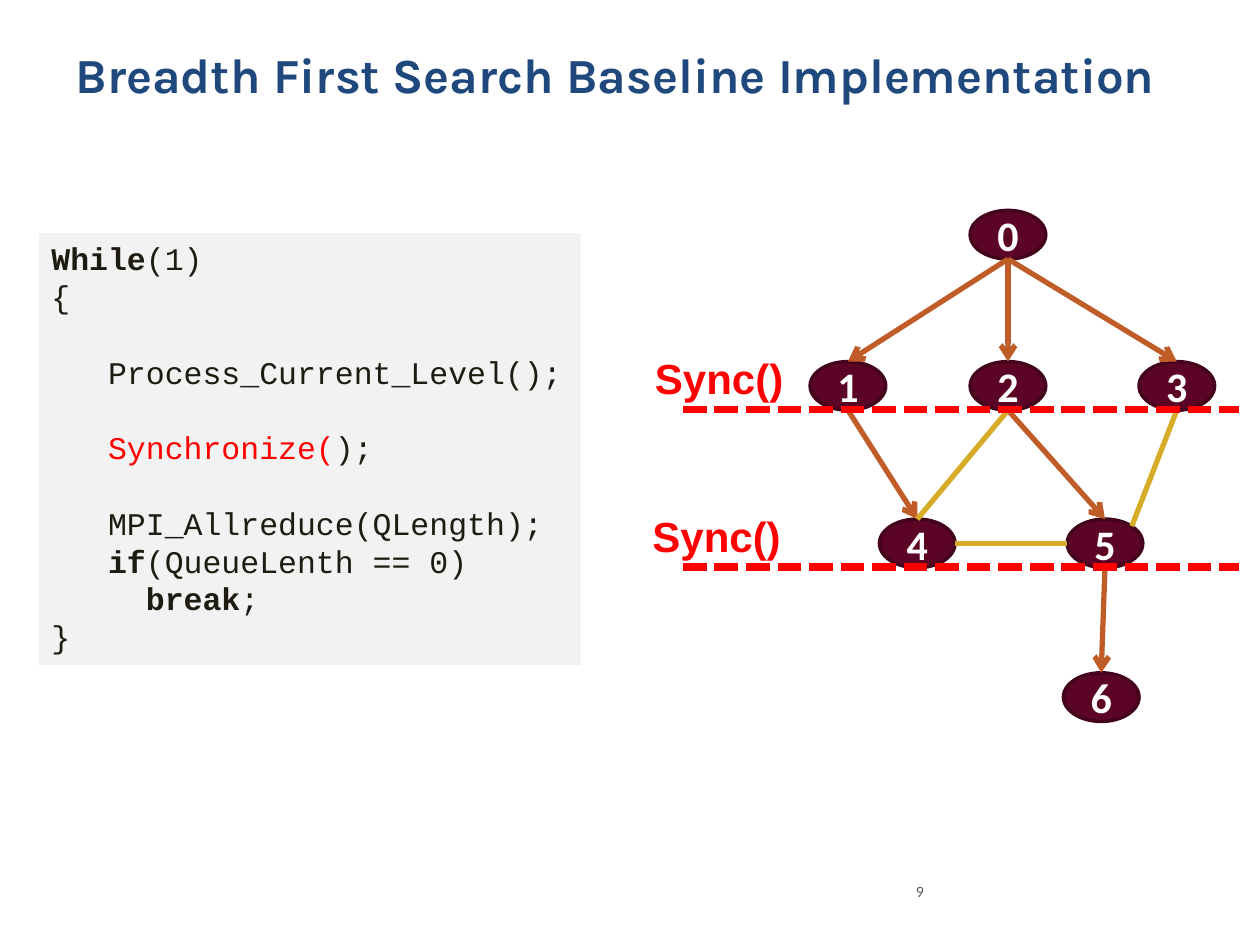
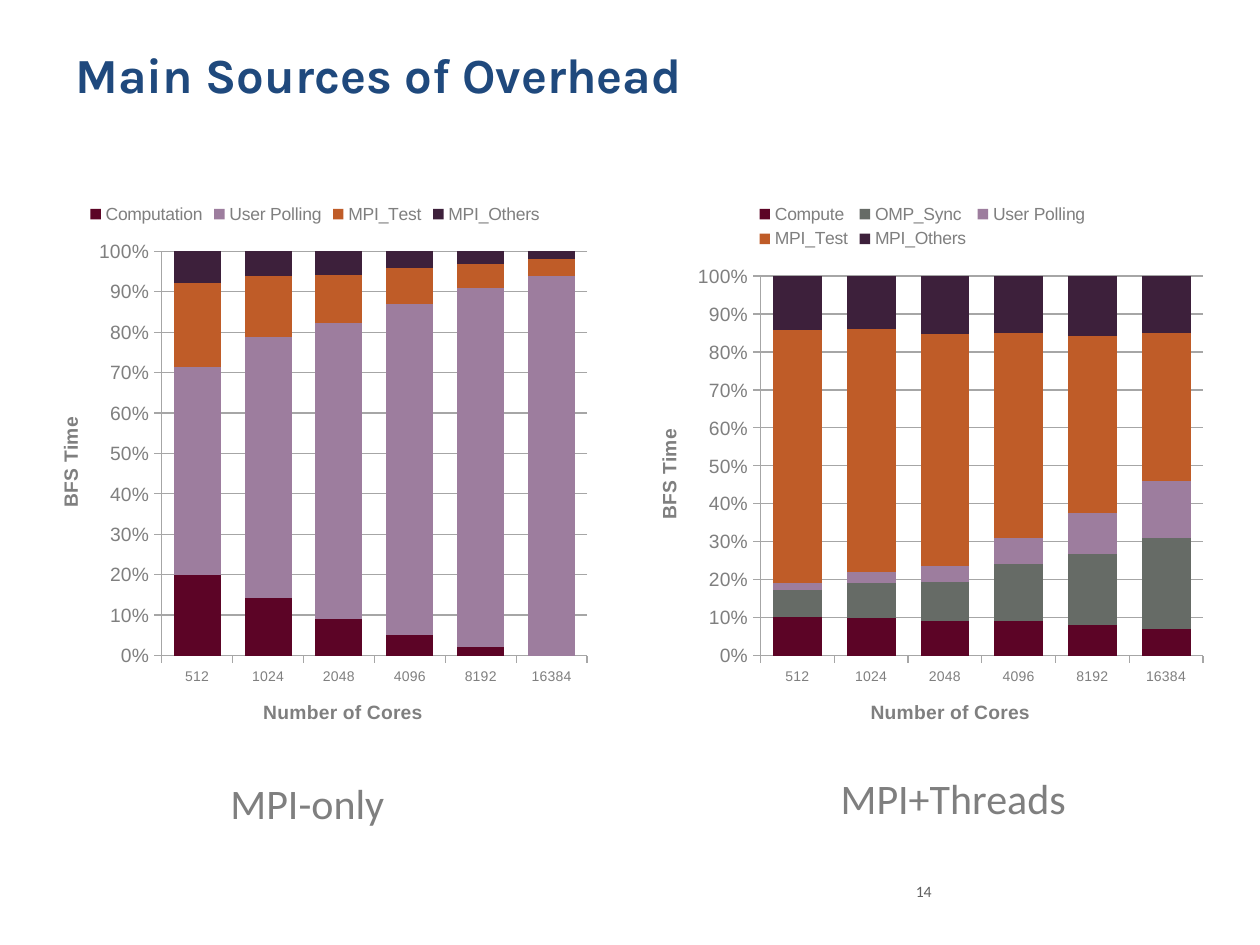
"""Build two slides on breadth first search: the baseline algorithm and its overheads."""
from lxml import etree
from pptx import Presentation, util as u
from pptx.chart.data import CategoryChartData
from pptx.dml.color import RGBColor
from pptx.enum import chart as charts, dml, shapes, text
from pptx.oxml.ns import qn

COLUMNS, ROWS = 100, 75
WINE, ORANGE, GOLD, RED = "5C0426", "BF5C28", "D6AC29", "FF0000"
MAUVE, PLUM, SLATE, GREY, INK = "9D7D9E", "3D203B", "666B66", "7F7F7F", "1E1C11"
NODE_WIDTH, NODE_HEIGHT = 6, 3.86
TOP, BOTTOM, LEFT, RIGHT, TOP_RIGHT = (0, -1), (0, 1), (-1, 0), (1, 0), (0.71, -0.71)
CENTER = text.PP_ALIGN.CENTER


def color(value):
    """Turn a hex string into a colour."""
    return RGBColor.from_string(value)


class Deck:
    """Holds the shared style and the current slide."""

    def __init__(self):
        """Start an empty deck of ten by seven and a half inches."""
        self.deck = Presentation()
        self.deck.slide_width, self.deck.slide_height = u.Inches(10), u.Inches(7.5)
        self.page = None

    def place(self, *lengths):
        """Turn alternating columns and rows into slide lengths."""
        units = self.deck.slide_width / COLUMNS, self.deck.slide_height / ROWS
        return [round(length * units[i % 2]) for i, length in enumerate(lengths)]

    def style(self, font, name, size, hue, bold=False):
        """Set the look of a font."""
        font.name, font.size, font.bold = name, u.Pt(size), bold
        font.color.rgb = color(hue)

    def set_text(self, para, words, name, size, hue, bold=False, align=None):
        """Fill a paragraph with uniform text."""
        para.text, para.alignment = words, align
        self.style(para.font, name, size, hue, bold)

    def start(self, title, number):
        """Add a slide with its title and number."""
        self.page = self.deck.slides.add_slide(self.deck.slide_layouts[6])
        self.label(title, (5, 3, 90, 12.5), "Karla", 28, "1F497D", True)
        self.label(str(number), (71.7, 69.5, 23.3, 4), "Calibri", 9, "5F5F5F")

    def label(self, words, area, name, size, hue, bold=False, wrap=True, align=None):
        """Add a text box."""
        box = self.page.shapes.add_textbox(*self.place(*area))
        box.text_frame.word_wrap = wrap
        self.set_text(box.text_frame.paragraphs[0], words, name, size, hue, bold, align)

    def shape(self, kind, area, fill, line=None):
        """Add a flat preset shape."""
        box = self.page.shapes.add_shape(kind, *self.place(*area))
        box.shadow.inherit = False
        box.fill.solid()
        box.fill.fore_color.rgb = color(fill)
        if line:
            box.line.color.rgb, box.line.width = color(line), u.Pt(2)
        else:
            box.line.fill.background()
        return box

    def node(self, name, left, top):
        """Add a numbered graph vertex."""
        area = left, top, NODE_WIDTH, NODE_HEIGHT
        frame = self.shape(shapes.MSO_SHAPE.OVAL, area, WINE, "44031C").text_frame
        frame.margin_left = frame.margin_right = frame.margin_top = frame.margin_bottom = 0
        frame.word_wrap = False
        self.set_text(frame.paragraphs[0], name, "Calibri", 24, "FFFFFF", True, CENTER)

    def line(self, start, end, hue, width=3, arrow=False, dash=None):
        """Add a straight line, with an arrowhead if wanted."""
        link = self.page.shapes.add_connector(
            shapes.MSO_CONNECTOR.STRAIGHT, *self.place(*start, *end))
        link.line.color.rgb, link.line.width = color(hue), u.Pt(width)
        if dash:
            link.line.dash_style = dash
        if arrow:
            outline = link._element.spPr.find(qn("a:ln"))
            etree.SubElement(outline, qn("a:tailEnd"), type="arrow")
        etree.SubElement(link._element.spPr, qn("a:effectLst"))

    def listing(self, area, lines):
        """Add a listing from lines of indent, blank lines before, and spans."""
        frame = self.shape(shapes.MSO_SHAPE.RECTANGLE, area, "F2F2F2").text_frame
        frame.vertical_anchor = text.MSO_ANCHOR.TOP
        frame.word_wrap = True
        pitch = 21.6
        for i, (indent, gap, spans) in enumerate(lines):
            para = frame.add_paragraph() if i else frame.paragraphs[0]
            para.alignment = text.PP_ALIGN.LEFT
            para.line_spacing, para.space_before = u.Pt(pitch), u.Pt(gap * pitch)
            para._p.get_or_add_pPr().set("marL", str(u.Pt(indent * 10.8)))
            self.style(para.font, "Courier New", 18, INK)
            for words, bold, hue in spans:
                span = para.add_run()
                span.text, span.font.bold = words, bold
                span.font.color.rgb = color(hue)

    def chart(self, area, series):
        """Add a stacked chart of time shares by number of cores."""
        data = CategoryChartData()
        data.categories = ["512", "1024", "2048", "4096", "8192", "16384"]
        for name, _, values in series:
            data.add_series(name, values)
        chart = self.page.shapes.add_chart(
            charts.XL_CHART_TYPE.COLUMN_STACKED_100, *self.place(*area), data).chart
        chart.has_title = False
        self.style(chart.font, "Arial", 11, GREY)
        chart.has_legend = True
        chart.legend.position = charts.XL_LEGEND_POSITION.TOP
        chart.legend.include_in_layout = False
        self.style(chart.legend.font, "Arial", 10, GREY)
        plot = chart.plots[0]
        plot.gap_width, plot.overlap, plot.vary_by_categories = 51, 100, False
        for bars, (_, hue, _) in zip(plot.series, series):
            bars.format.fill.solid()
            bars.format.fill.fore_color.rgb = color(hue)
        axes = (chart.category_axis, "Number of Cores", 8), (chart.value_axis, "BFS Time", 11)
        for axis, title, size in axes:
            self.set_text(axis.axis_title.text_frame.paragraphs[0], title, "Arial", 11, GREY, True)
            self.style(axis.tick_labels.font, "Arial", size, GREY)
            axis.major_tick_mark = charts.XL_TICK_MARK.OUTSIDE
            axis.format.line.color.rgb = color("A6A6A6")
        chart.value_axis.tick_labels.number_format = "0%"
        chart.value_axis.tick_labels.number_format_is_linked = False
        chart.value_axis.major_gridlines.format.line.color.rgb = color("A6A6A6")

    def caption(self, words, area):
        """Add a centred caption on white."""
        frame = self.shape(shapes.MSO_SHAPE.RECTANGLE, area, "FFFFFF").text_frame
        self.set_text(frame.paragraphs[0], words, "Calibri", 24, GREY, align=CENTER)


def search_slide(deck):
    """Draw the search loop beside its graph."""
    deck.start("Breadth First Search Baseline Implementation", 9)
    nodes = {"0": (77, 16.7), "1": (64.3, 28.7), "2": (77, 28.7), "3": (90.4, 28.7),
             "4": (69.8, 41.2), "5": (84.7, 41.2), "6": (84.4, 53.4)}
    for name, corner in nodes.items():
        deck.node(name, *corner)

    def site(name, side):
        """Find a point on the rim of a vertex."""
        left, top = nodes[name]
        return left + NODE_WIDTH * (1 + side[0]) / 2, top + NODE_HEIGHT * (1 + side[1]) / 2

    for parent, child in ("01", "02", "03", "14", "25", "56"):
        deck.line(site(parent, BOTTOM), site(child, TOP), ORANGE, arrow=True)
    for start, out, end, into in (("4", RIGHT, "5", LEFT), ("2", BOTTOM, "4", TOP),
                                  ("3", BOTTOM, "5", TOP_RIGHT)):
        deck.line(site(start, out), site(end, into), GOLD)
    deck.listing((3.1, 18.5, 43, 34.3), [
        (0, 0, [("While", True, INK), ("(1)", False, INK)]),
        (0, 0, [("{", False, INK)]),
        (3, 1, [("Process_Current_Level();", False, INK)]),
        (3, 1, [("Synchronize(", False, RED), (");", False, INK)]),
        (3, 1, [("MPI_Allreduce(QLength);", False, INK)]),
        (3, 0, [("if", True, INK), ("(QueueLenth == 0)", False, INK)]),
        (5, 0, [("break", True, INK), (";", False, INK)]),
        (0, 0, [("}", False, INK)])])
    for left, level in ((51, 32.5), (50.8, 45)):
        deck.line((54.2, level), (98.3, level), RED, 4.5, dash=dml.MSO_LINE.SQUARE_DOT)
        deck.label("Sync()", (left, level - 5, 12.3, 5), "Arial", 24, RED, True, wrap=False)


def overhead_slide(deck):
    """Compare the overheads of both versions."""
    deck.start("Main Sources of Overhead", 14)
    deck.chart((2.5, 15.1, 45, 44.4), [
        ("Computation", WINE, (20, 14, 9, 5, 2, 0)),
        ("User Polling", MAUVE, (52, 64, 74, 81, 89, 94)),
        ("MPI_Test", ORANGE, (21, 15, 12, 9, 6, 4)),
        ("MPI_Others", PLUM, (8, 6, 6, 4, 3, 2))])
    deck.chart((50, 15.1, 46.4, 44.4), [
        ("Compute", WINE, (10, 10, 9, 9, 8, 7)),
        ("OMP_Sync", SLATE, (7, 9, 10, 15, 19, 24)),
        ("User Polling", MAUVE, (2, 3, 4, 7, 11, 15)),
        ("MPI_Test", ORANGE, (66, 64, 60, 54, 47, 39)),
        ("MPI_Others", PLUM, (14, 14, 15, 15, 16, 15))])
    deck.caption("MPI-only", (1.6, 60.9, 45.6, 5.6))
    deck.caption("MPI+Threads", (52.2, 60.8, 46.9, 5))


def main():
    """Build and save the deck."""
    deck = Deck()
    search_slide(deck)
    overhead_slide(deck)
    deck.deck.save("out.pptx")


if __name__ == "__main__":
    main()
